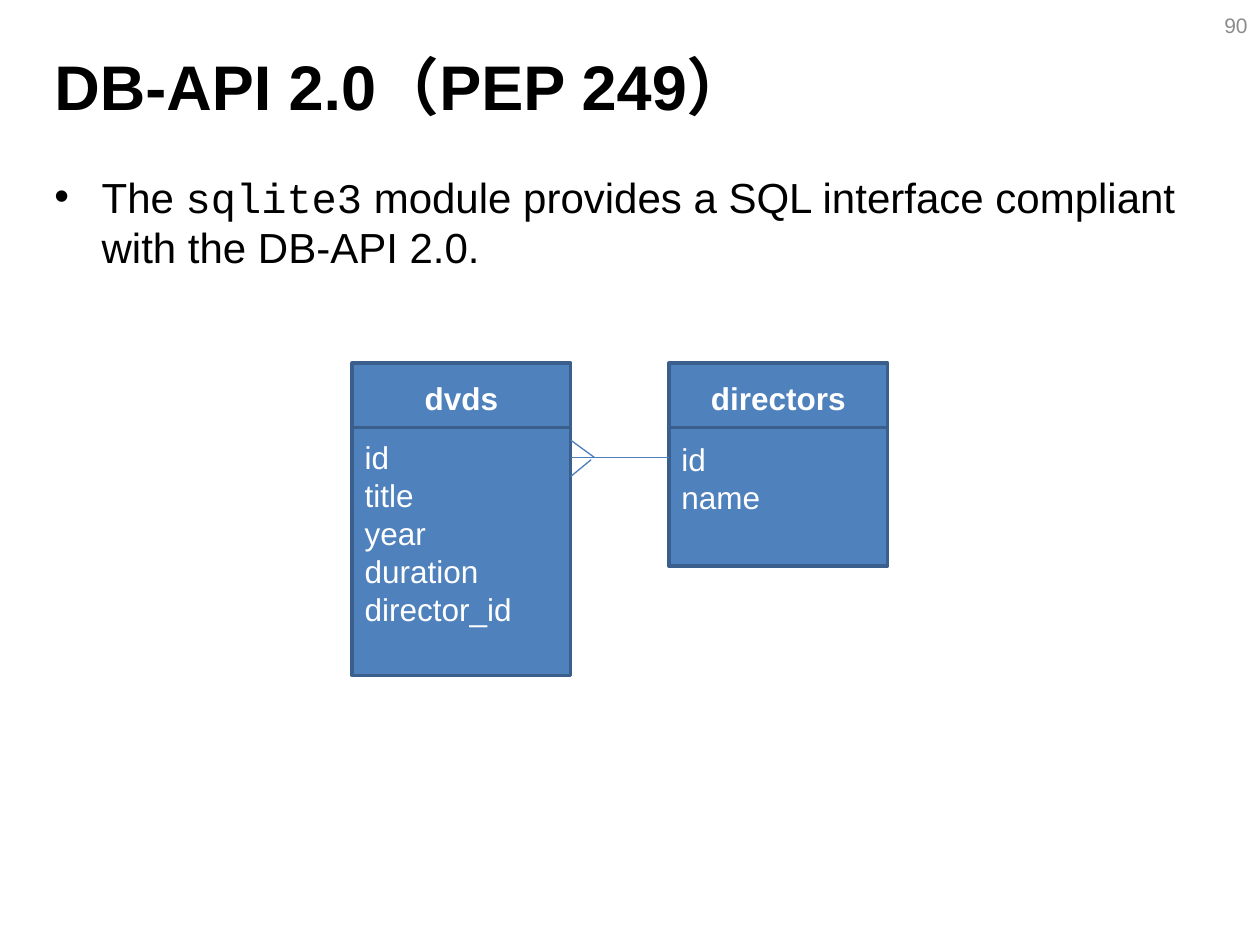
from lxml.etree import SubElement
from pptx import Presentation
from pptx.dml.color import RGBColor
from pptx.enum.shapes import MSO_CONNECTOR, MSO_SHAPE
from pptx.enum.text import MSO_ANCHOR, PP_ALIGN
from pptx.oxml.ns import qn
from pptx.util import Pt


def color(value):
    """Turn a hex string into a colour."""
    return RGBColor.from_string(value)


def add_run(paragraph, text, size, fill, bold=False, font="Arial"):
    """Append one formatted run to a paragraph."""
    run = paragraph.add_run()
    run.text = text
    run.font.name = font
    run.font.size = Pt(size)
    run.font.bold = bold
    run.font.color.rgb = color(fill)


def add_text_box(slide, box, anchor=MSO_ANCHOR.TOP):
    """Add a wrapping text box and return its first paragraph."""
    frame = slide.shapes.add_textbox(*map(Pt, box)).text_frame
    frame.word_wrap = True
    frame.vertical_anchor = anchor
    return frame.paragraphs[0]


def add_title(slide, box):
    """Place the slide title."""
    paragraph = add_text_box(slide, box, MSO_ANCHOR.MIDDLE)
    add_run(paragraph, "DB-API 2.0（PEP 249）", 36, "000000", bold=True)


def add_page_number(slide, box):
    """Place the page number at the right edge."""
    paragraph = add_text_box(slide, box, MSO_ANCHOR.MIDDLE)
    paragraph.alignment = PP_ALIGN.RIGHT
    add_run(paragraph, "90", 12, "8C8C8C")


def add_bullet_text(slide, box):
    """Place the bulleted statement about the module."""
    paragraph = add_text_box(slide, box)
    properties = paragraph._p.get_or_add_pPr()
    properties.set("marL", str(Pt(27)))
    properties.set("indent", str(Pt(-27)))
    SubElement(properties, qn("a:buFont"), typeface="Arial")
    SubElement(properties, qn("a:buChar"), char="•")
    paragraph.line_spacing = Pt(28.6)
    for text, font in (
        ("The ", "Arial"),
        ("sqlite3", "Courier New"),
        (" module provides a SQL interface compliant with the DB-API 2.0.", "Arial"),
    ):
        add_run(paragraph, text, 24, "000000", font=font)


def add_panel(slide, box):
    """Add a blue outlined rectangle and return its text frame."""
    shape = slide.shapes.add_shape(MSO_SHAPE.RECTANGLE, *map(Pt, box))
    shape.shadow.inherit = False
    shape.fill.solid()
    shape.fill.fore_color.rgb = color("4F81BD")
    shape.line.color.rgb = color("3A5F8C")
    shape.line.width = Pt(2)
    frame = shape.text_frame
    frame.word_wrap = True
    frame.vertical_anchor = MSO_ANCHOR.MIDDLE
    return frame


def add_entity(slide, box, name, fields):
    """Draw a database table as a name panel above a field panel."""
    left, top, width, height = box
    header_height, field_offset, line_height = 39.6, 36.7, 21.7
    header = add_panel(slide, (left, top, width, header_height)).paragraphs[0]
    header.alignment = PP_ALIGN.CENTER
    add_run(header, name, 18, "FFFFFF", bold=True)
    frame = add_panel(slide, (left, top + field_offset, width, height - field_offset))
    frame.margin_bottom = Pt(3.6 + line_height)
    for index, field in enumerate(fields):
        paragraph = frame.add_paragraph() if index else frame.paragraphs[0]
        paragraph.alignment = PP_ALIGN.LEFT
        paragraph.line_spacing = Pt(line_height)
        add_run(paragraph, field, 18, "FFFFFF")


def add_line(slide, start, end):
    """Draw a thin straight line between two points."""
    connector = slide.shapes.add_connector(
        MSO_CONNECTOR.STRAIGHT, *map(Pt, (*start, *end))
    )
    connector.line.color.rgb = color("4B7EBC")
    connector.line.width = Pt(0.75)
    SubElement(connector._element.spPr, qn("a:effectLst"))


def add_relation(slide, left, right, middle):
    """Draw a many-to-one relation with a crow's foot on the left."""
    add_line(slide, (left, middle), (right, middle))
    add_line(slide, (left, middle - 10), (left + 13.7, middle))
    add_line(slide, (left + 11.7, middle + 1.2), (left, middle + 10.8))


def add_schema(slide, left, top):
    """Place both database tables and their relation."""
    width, gap = 124.8, 56.2
    right = left + width + gap
    fields = ("id", "title", "year", "duration", "director_id")
    add_entity(slide, (left, top, width, 178.5), "dvds", fields)
    add_entity(slide, (right, top, width, 116), "directors", ("id", "name"))
    add_relation(slide, left + width, right, top + 54)


def main():
    """Build and save the slide."""
    presentation = Presentation()
    presentation.slide_width = Pt(720)
    presentation.slide_height = Pt(540)
    slide = presentation.slides.add_slide(presentation.slide_layouts[6])
    add_title(slide, (24, 3.6, 648, 90))
    add_bullet_text(slide, (24, 94.5, 670, 356))
    add_page_number(slide, (552, 0, 168, 28.8))
    add_schema(slide, 201.3, 207.5)
    presentation.save("out.pptx")


if __name__ == "__main__":
    main()
